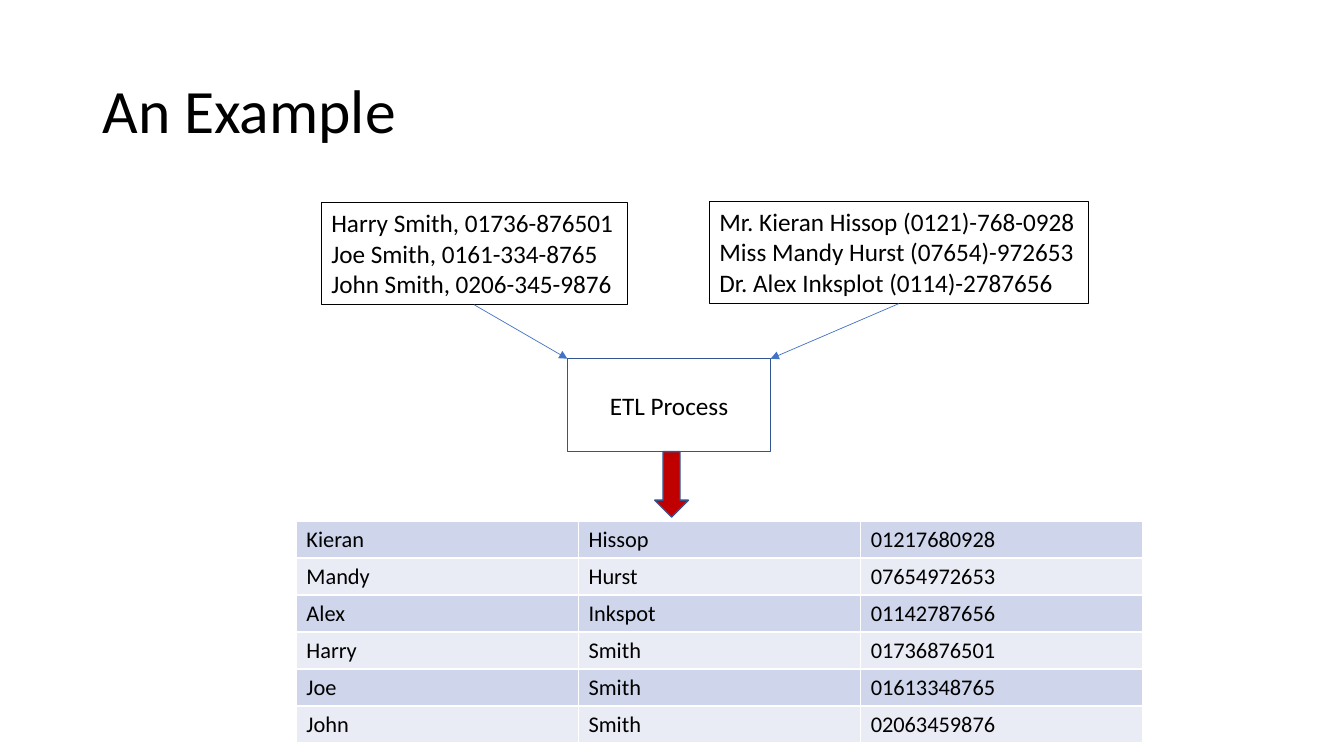
from dataclasses import dataclass

from lxml import etree
from pptx import Presentation
from pptx.dml.color import RGBColor
from pptx.enum.shapes import MSO_CONNECTOR, MSO_SHAPE
from pptx.enum.text import MSO_ANCHOR, MSO_AUTO_SIZE, PP_ALIGN
from pptx.oxml.ns import qn
from pptx.util import Cm, Pt

RECTANGLE = MSO_SHAPE.RECTANGLE
DOWN_ARROW = MSO_SHAPE.DOWN_ARROW
STRAIGHT = MSO_CONNECTOR.STRAIGHT
LEFT, CENTER = PP_ALIGN.LEFT, PP_ALIGN.CENTER
TOP, MIDDLE = MSO_ANCHOR.TOP, MSO_ANCHOR.MIDDLE
FIT_SHAPE, NO_FIT = MSO_AUTO_SIZE.SHAPE_TO_FIT_TEXT, MSO_AUTO_SIZE.NONE
TITLE_ONLY_LAYOUT = 5
BOTTOM_SITE = 2


@dataclass(frozen=True)
class Theme:
    font: str = "Calibri"
    title_size: float = 44
    body_size: float = 18
    table_size: float = 16
    text: str = "000000"
    outline: str = "325491"
    connector: str = "4472C4"
    arrow: str = "C00000"
    grid: str = "FFFFFF"
    bands: tuple = ("CFD5EA", "E9EBF5")


class SlideBuilder:
    def __init__(self, slide, theme):
        self.slide = slide
        self.theme = theme

    def fill_text(self, frame, lines, size, align=LEFT):
        for index, line in enumerate(lines):
            para = frame.paragraphs[0] if index == 0 else frame.add_paragraph()
            para.text = line
            para.alignment = align
            para.font.name = self.theme.font
            para.font.size = Pt(size)
            para.font.color.rgb = RGBColor.from_string(self.theme.text)

    def title(self, text, left, top, width, height):
        title = self.slide.shapes.title
        title.left, title.top = Cm(left), Cm(top)
        title.width, title.height = Cm(width), Cm(height)
        frame = title.text_frame
        frame.vertical_anchor = MIDDLE
        frame.auto_size = NO_FIT
        self.fill_text(frame, [text], self.theme.title_size)
        frame.paragraphs[0].line_spacing = 0.9

    def shape(self, kind, left, top, width, height, line, weight, fill=None):
        shape = self.slide.shapes.add_shape(
            kind, Cm(left), Cm(top), Cm(width), Cm(height))
        shape.shadow.inherit = False
        if fill:
            shape.fill.solid()
            shape.fill.fore_color.rgb = RGBColor.from_string(fill)
        else:
            shape.fill.background()
        shape.line.color.rgb = RGBColor.from_string(line)
        shape.line.width = Pt(weight)
        return shape

    def source_box(self, lines, left, top, width, height):
        box = self.shape(RECTANGLE, left, top, width, height, self.theme.text, 0.5)
        frame = box.text_frame
        frame.word_wrap = False
        frame.auto_size = FIT_SHAPE
        frame.vertical_anchor = TOP
        self.fill_text(frame, lines, self.theme.body_size)
        return box

    def process_box(self, text, left, top, width, height):
        box = self.shape(RECTANGLE, left, top, width, height, self.theme.outline, 1)
        box.text_frame.vertical_anchor = MIDDLE
        self.fill_text(box.text_frame, [text], self.theme.body_size, CENTER)
        return box

    def block_arrow(self, left, top, width, height):
        self.shape(DOWN_ARROW, left, top, width, height,
                   self.theme.outline, 1, self.theme.arrow)

    def arrow_from(self, box, end_x, end_y):
        arrow = self.slide.shapes.add_connector(STRAIGHT, 0, 0, end_x, end_y)
        arrow.begin_connect(box, BOTTOM_SITE)
        arrow.line.color.rgb = RGBColor.from_string(self.theme.connector)
        arrow.line.width = Pt(0.5)
        properties = arrow._element.spPr
        outline = properties.find(qn("a:ln"))
        etree.SubElement(outline, qn("a:tailEnd"), type="triangle")
        etree.SubElement(properties, qn("a:effectLst"))

    def cell_borders(self, cell):
        properties = cell._tc.get_or_add_tcPr()
        for index, side in enumerate(("lnL", "lnR", "lnT", "lnB")):
            border = etree.Element(qn(f"a:{side}"), w=str(Pt(1)))
            fill = etree.SubElement(border, qn("a:solidFill"))
            etree.SubElement(fill, qn("a:srgbClr"), val=self.theme.grid)
            properties.insert(index, border)

    def table(self, rows, left, top, column_width, row_height):
        columns = len(rows[0])
        table = self.slide.shapes.add_table(
            len(rows), columns, Cm(left), Cm(top),
            Cm(column_width * columns), Cm(row_height * len(rows))).table
        table.first_row = False
        for row_index, values in enumerate(rows):
            band = self.theme.bands[row_index % 2]
            for column_index, value in enumerate(values):
                cell = table.cell(row_index, column_index)
                cell.fill.solid()
                cell.fill.fore_color.rgb = RGBColor.from_string(band)
                self.cell_borders(cell)
                self.fill_text(cell.text_frame, [value], self.theme.table_size)


def main():
    deck = Presentation()
    deck.slide_width, deck.slide_height = Cm(33.87), Cm(19.05)
    slide = deck.slides.add_slide(deck.slide_layouts[TITLE_ONLY_LAYOUT])
    builder = SlideBuilder(slide, Theme())

    builder.title("An Example", 2.33, 1.02, 29.21, 3.68)

    # Source records and the process they feed
    process = builder.process_box("ETL Process", 14.3, 9.04, 5.12, 2.34)
    plain_source = builder.source_box(
        ["Harry Smith, 01736-876501",
         "Joe Smith, 0161-334-8765",
         "John Smith, 0206-345-9876"], 8.1, 5.11, 7.7, 2.57)
    titled_source = builder.source_box(
        ["Mr. Kieran Hissop (0121)-768-0928",
         "Miss Mandy Hurst (07654)-972653",
         "Dr. Alex Inksplot (0114)-2787656"], 17.88, 5.08, 9.55, 2.57)
    builder.arrow_from(plain_source, process.left, process.top)
    builder.arrow_from(titled_source, process.left + process.width, process.top)

    # Cleaned records
    builder.table(
        [("Kieran", "Hissop", "01217680928"),
         ("Mandy", "Hurst", "07654972653"),
         ("Alex", "Inkspot", "01142787656"),
         ("Harry", "Smith", "01736876501"),
         ("Joe", "Smith", "01613348765"),
         ("John", "Smith", "02063459876")], 7.47, 13.13, 7.11, 0.93)
    builder.block_arrow(16.5, 11.38, 0.85, 1.65)

    deck.save("out.pptx")


if __name__ == "__main__":
    main()
